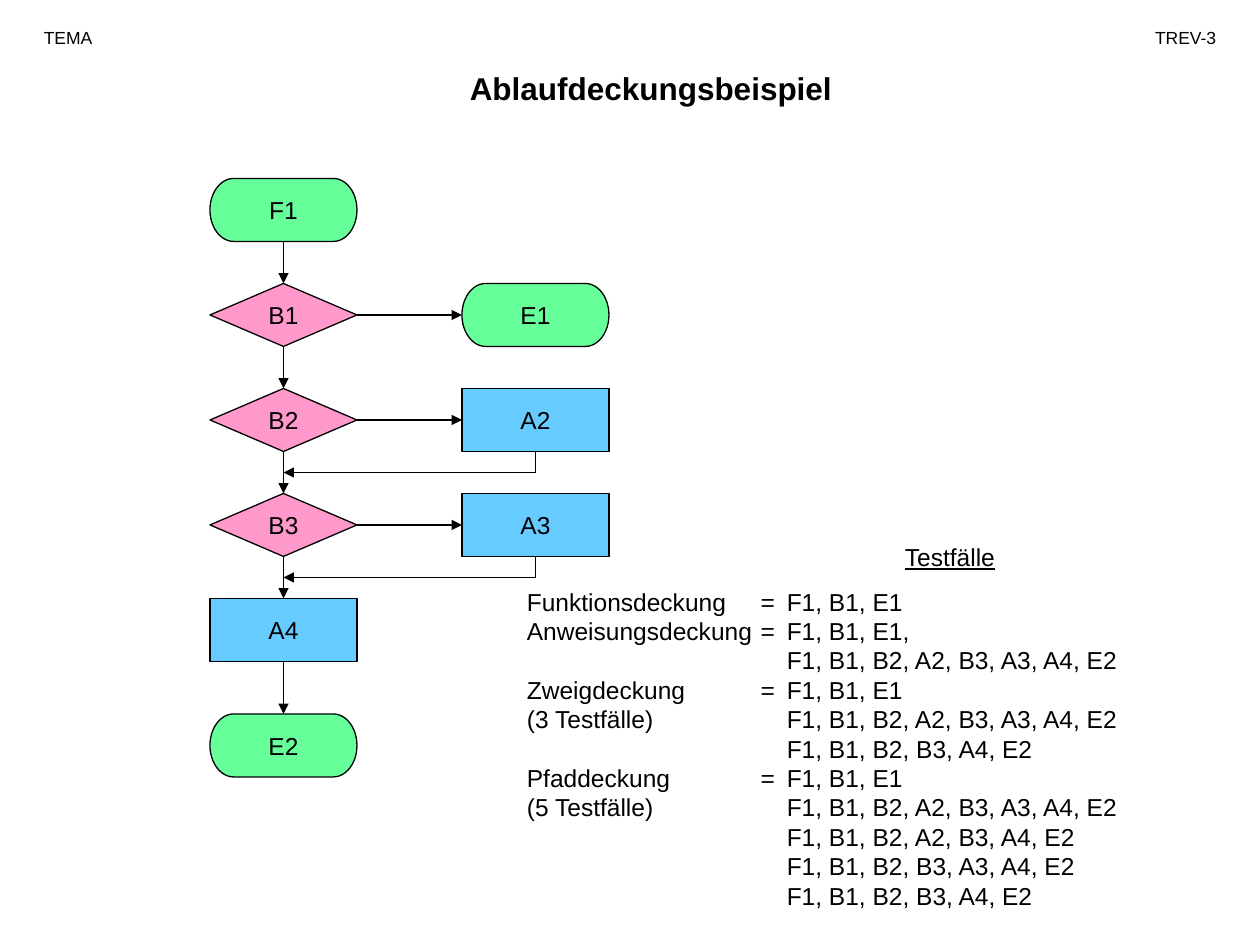
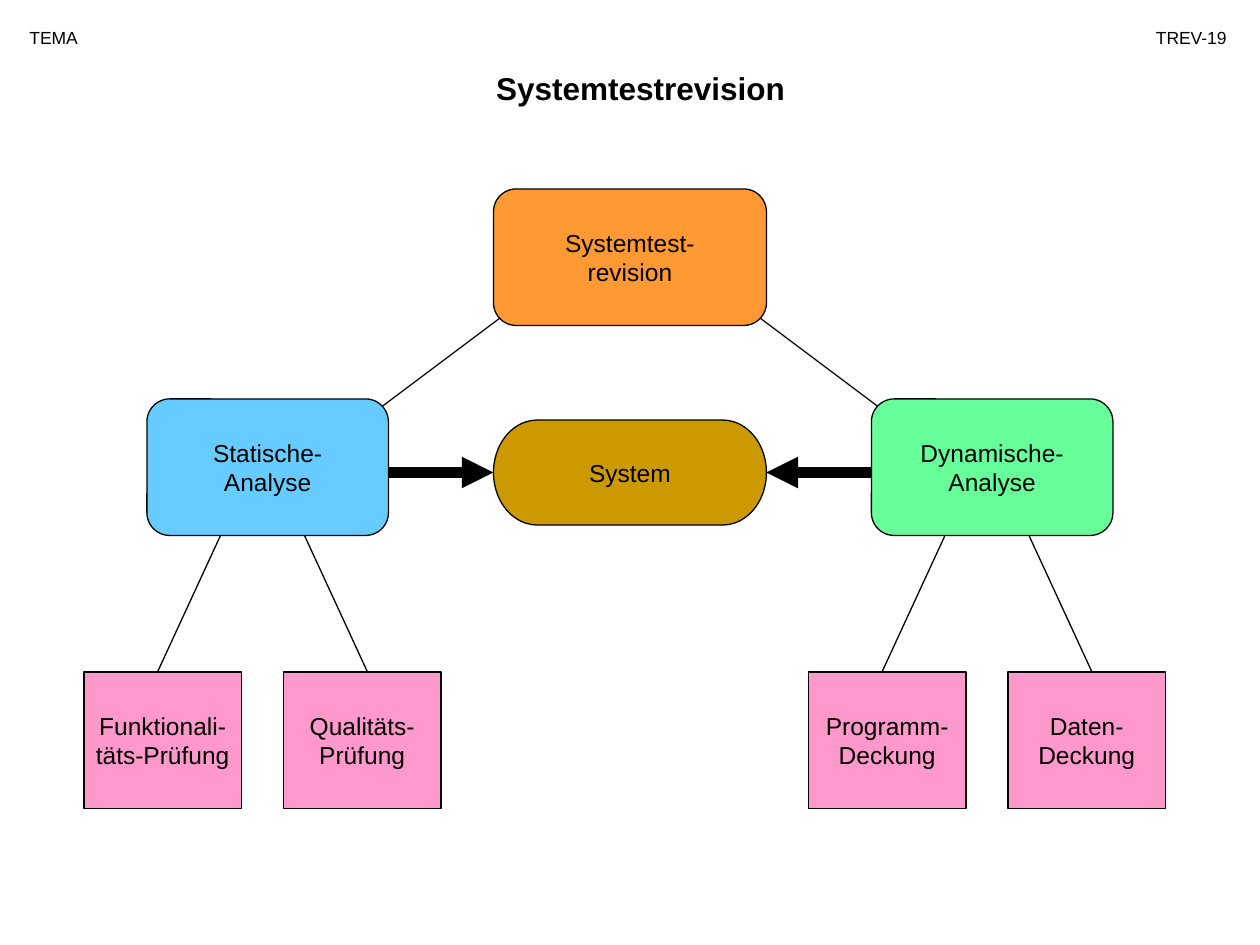
from lxml.etree import SubElement
from pptx import Presentation
from pptx.dml.color import RGBColor
from pptx.enum.shapes import MSO_CONNECTOR, MSO_SHAPE
from pptx.enum.text import MSO_ANCHOR, PP_ALIGN
from pptx.oxml.ns import qn
from pptx.util import Pt

PX = 9525  # EMU per px, 96 px to the inch
BLACK, GREEN, PINK, BLUE = "000000", "66FF99", "FF99CC", "66CCFF"
ORANGE, OCHRE = "FF9933", "CC9900"
TERMINATOR = MSO_SHAPE.FLOWCHART_TERMINATOR
DECISION = MSO_SHAPE.FLOWCHART_DECISION
RECTANGLE = MSO_SHAPE.RECTANGLE
ROUNDED = MSO_SHAPE.ROUNDED_RECTANGLE
BODY = {"name": "Arial", "size": Pt(14)}
TITLE = {"name": "Arial", "size": Pt(18), "bold": True}
HEADER = {"name": "Arial", "size": Pt(10)}


def add_box(slide, frame, lines, kind=None, fill=None, font=BODY, align=PP_ALIGN.CENTER):
    """Add a filled shape of the given kind, or a text box if there is no kind."""
    frame = [length * PX for length in frame]
    if kind is None:
        shape = slide.shapes.add_textbox(*frame)
    else:
        shape = slide.shapes.add_shape(kind, *frame)
        shape.shadow.inherit = False
        shape.fill.solid()
        shape.fill.fore_color.rgb = RGBColor.from_string(fill)
        shape.line.color.rgb = RGBColor.from_string(BLACK)
        shape.line.width = Pt(0.75)
        shape.text_frame.vertical_anchor = MSO_ANCHOR.MIDDLE
    shape.text_frame.word_wrap = kind is None
    shape.text_frame.text = "\n".join(lines)
    for paragraph in shape.text_frame.paragraphs:
        paragraph.alignment = align
        for run in paragraph.runs:
            run.font.color.rgb = RGBColor.from_string(BLACK)
            for name, value in font.items():
                setattr(run.font, name, value)
    return shape


def add_line(slide, points, arrow=False, width=0.75):
    line = slide.shapes.add_connector(
        MSO_CONNECTOR.STRAIGHT, *[length * PX for length in points])
    line.line.color.rgb = RGBColor.from_string(BLACK)
    line.line.width = Pt(width)
    if arrow:
        SubElement(line.line._get_or_add_ln(), qn("a:tailEnd"), type="triangle")
    SubElement(line._element.spPr, qn("a:effectLst"))


presentation = Presentation()
presentation.slide_width = 960 * PX
presentation.slide_height = 720 * PX

# Title and header of both slides
slides = []
for title, title_left, title_width, page, theme_left, page_right in [
    ("Ablaufdeckungsbeispiel", 208, 576, "TREV-3", 24, 936),
    ("Systemtestrevision", 136, 704, "TREV-19", 13, 944),
]:
    slide = presentation.slides.add_slide(presentation.slide_layouts[6])
    add_box(slide, (title_left, 48, title_width, 38), [title], font=TITLE)
    add_box(slide, (theme_left, 16, 100, 26), ["TEMA"], font=HEADER, align=PP_ALIGN.LEFT)
    add_box(slide, (page_right - 100, 16, 100, 26), [page], font=HEADER, align=PP_ALIGN.RIGHT)
    slides.append(slide)
flow_slide, revision_slide = slides

# Flow chart: a main column and a side column
step_width, step_height = 112, 48
main_left, side_left = 160, 352
main_center, side_center = main_left + step_width // 2, side_left + step_width // 2
main_steps = [
    ("F1", 136, TERMINATOR, GREEN),
    ("B1", 216, DECISION, PINK),
    ("B2", 296, DECISION, PINK),
    ("B3", 376, DECISION, PINK),
    ("A4", 456, RECTANGLE, BLUE),
    ("E2", 544, TERMINATOR, GREEN),
]
side_steps = [
    ("E1", 216, TERMINATOR, GREEN),
    ("A2", 296, RECTANGLE, BLUE),
    ("A3", 376, RECTANGLE, BLUE),
]
for left, steps in [(main_left, main_steps), (side_left, side_steps)]:
    for name, top, kind, fill in steps:
        add_box(flow_slide, (left, top, step_width, step_height), [name], kind, fill)

for step, next_step in zip(main_steps, main_steps[1:]):
    add_line(flow_slide, (main_center, step[1] + step_height, main_center, next_step[1]), arrow=True)
for name, top, kind, fill in side_steps:
    middle = top + step_height // 2
    add_line(flow_slide, (main_left + step_width, middle, side_left, middle), arrow=True)
    if kind == RECTANGLE:
        bottom = top + step_height
        merge = bottom + 16
        add_line(flow_slide, (side_center, bottom, side_center, merge))
        add_line(flow_slide, (side_center, merge, main_center, merge), arrow=True)

# Test cases
test_cases = [
    "Testfälle",
    "Funktionsdeckung\t=\tF1, B1, E1",
    "Anweisungsdeckung\t=\tF1, B1, E1,",
    "\t\tF1, B1, B2, A2, B3, A3, A4, E2",
    "Zweigdeckung\t=\tF1, B1, E1",
    "(3 Testfälle)\t\tF1, B1, B2, A2, B3, A3, A4, E2",
    "\t\tF1, B1, B2, B3, A4, E2",
    "Pfaddeckung\t=\tF1, B1, E1",
    "(5 Testfälle)\t\tF1, B1, B2, A2, B3, A3, A4, E2",
    "\t\tF1, B1, B2, A2, B3, A4, E2",
    "\t\tF1, B1, B2, B3, A3, A4, E2",
    "\t\tF1, B1, B2, B3, A4, E2",
]
test_box = add_box(flow_slide, (392, 408, 528, 291), test_cases, align=PP_ALIGN.LEFT)
heading, *rows = test_box.text_frame.paragraphs
heading._p.get_or_add_pPr().set("marL", str(288 * PX))
heading.runs[0].font.underline = True
for row in rows:
    tabs = SubElement(row._p.get_or_add_pPr(), qn("a:tabLst"))
    for position in (178, 198):
        SubElement(tabs, qn("a:tab"), pos=str(position * PX), algn="l")
rows[0].space_before = Pt(8.8)

# Tree: two analyses, each with two checks, around the system
for points in [(672, 312, 576, 240), (288, 312, 384, 240)]:
    add_line(revision_slide, points)
add_box(revision_slide, (376, 144, 208, 104), ["Systemtest-", "revision"], ROUNDED, ORANGE)
add_box(revision_slide, (376, 320, 208, 80), ["System"], TERMINATOR, OCHRE)
branches = [
    (0, "Statische-", BLUE, [("Funktionali-", "täts-Prüfung"), ("Qualitäts-", "Prüfung")]),
    (552, "Dynamische-", GREEN, [("Programm-", "Deckung"), ("Daten-", "Deckung")]),
]
for offset, analysis, fill, checks in branches:
    add_box(revision_slide, (112 + offset, 304, 184, 104), [analysis, "Analyse"], ROUNDED, fill)
    for check, left, line_top, line_bottom in zip(checks, (64, 216), (168, 232), (120, 280)):
        add_box(revision_slide, (left + offset, 512, 120, 104), check, RECTANGLE, PINK)
        add_line(revision_slide, (line_top + offset, 408, line_bottom + offset, 512))
for start, end in [(296, 376), (664, 584)]:
    add_line(revision_slide, (start, 360, end, 360), arrow=True, width=6)

presentation.save("out.pptx")
